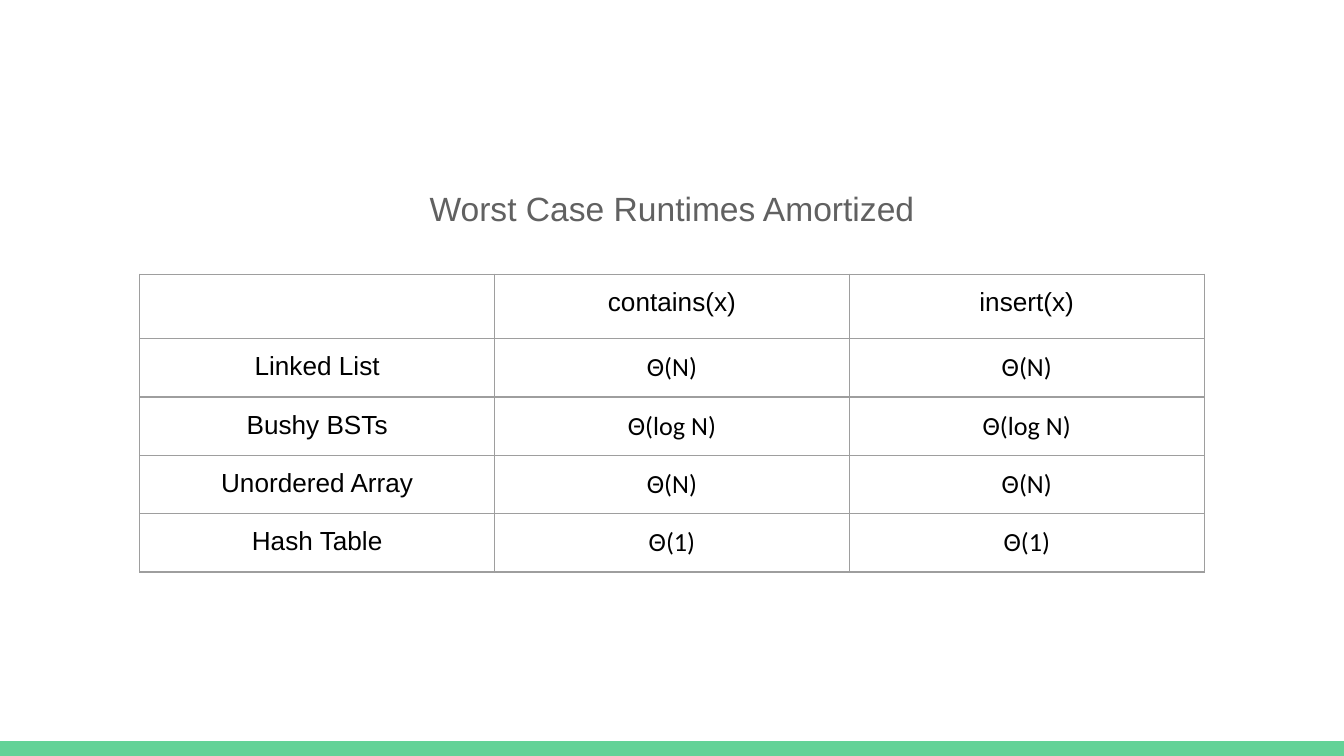
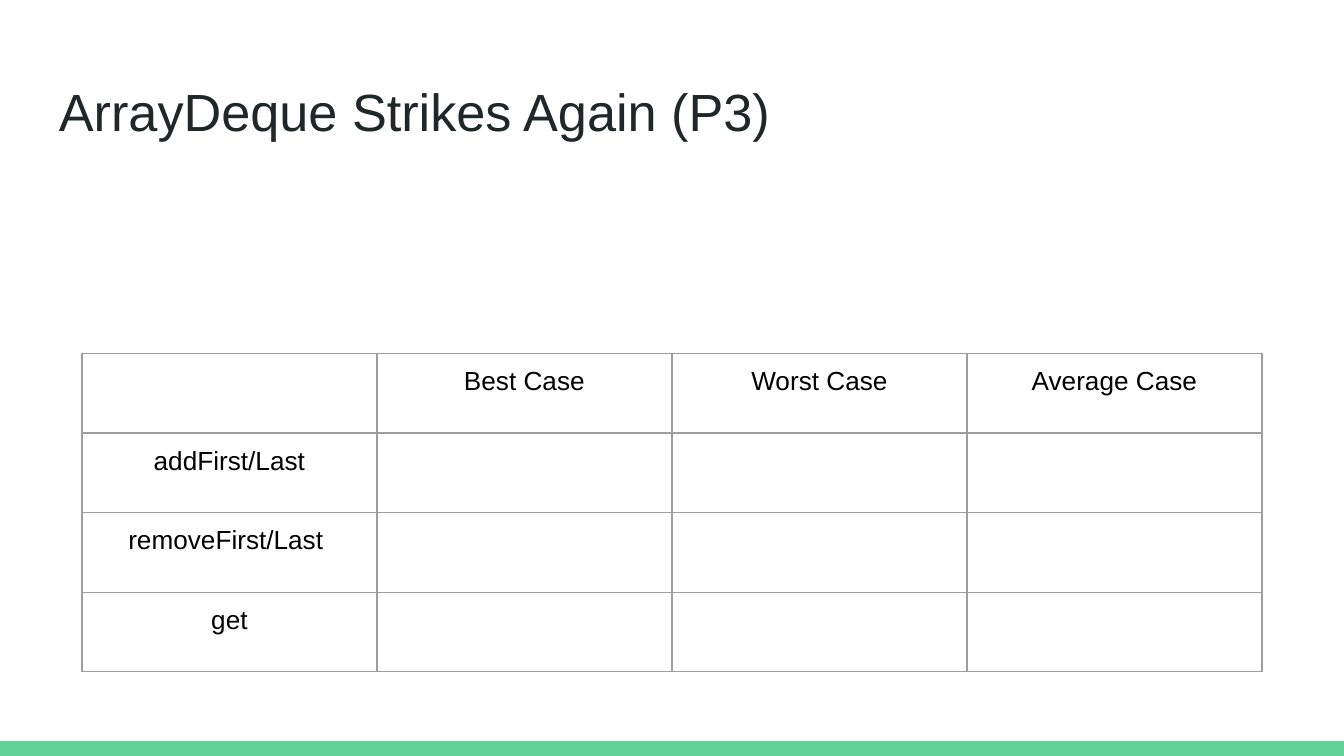
"""Build two slides of runtime tables with a shared title style and footer band."""
from dataclasses import dataclass

from lxml import etree
from pptx import Presentation
from pptx import util as u
from pptx.dml import color
from pptx.enum import shapes, text
from pptx.oxml import ns


@dataclass(frozen=True)
class Theme:
    band: str = "63D297"
    title: str = "202729"
    subtitle: str = "616161"
    cell: str = "000000"
    border: str = "9E9E9E"
    font: str = "Arial"
    math_font: str = "Calibri"
    title_size: int = 28
    subtitle_size: int = 18
    cell_size: int = 14
    border_width: float = 0.75
    inset: float = 0.1


@dataclass(frozen=True)
class Heading:
    text: str
    top: float
    height: float
    size: int
    color: str
    align: text.PP_ALIGN = text.PP_ALIGN.LEFT
    line_spacing: float = 1.0
    space_after: int = 0


@dataclass(frozen=True)
class Grid:
    left: float
    top: float
    width: float
    row_heights: tuple[float, ...]
    rows: tuple[tuple[str, ...], ...]


THEME = Theme()
WIDTH = 10
HEIGHT = WIDTH * 9 / 16
BAND_HEIGHT = 0.11
MARGIN = 0.34

SLIDES = (
    (
        Heading("Worst Case Runtimes Amortized", 1.25, 3.74, THEME.subtitle_size, THEME.subtitle,
                text.PP_ALIGN.CENTER, 1.15, 16),
        Grid(1.04, 2.04, 7.92, (0.48,) + (0.42,) * 4, (
            ("", "contains(x)", "insert(x)"),
            ("Linked List", "Θ(N)", "Θ(N)"),
            ("Bushy BSTs", "Θ(log N)", "Θ(log N)"),
            ("Unordered Array", "Θ(N)", "Θ(N)"),
            ("Hash Table", "Θ(1)", "Θ(1)"),
        )),
    ),
    (
        Heading("ArrayDeque Strikes Again (P3)", 0.49, 0.63, THEME.title_size, THEME.title),
        Grid(0.61, 2.63, 8.78, (2.37 / 4,) * 4, (
            ("", "Best Case", "Worst Case", "Average Case"),
            ("addFirst/Last", "", "", ""),
            ("removeFirst/Last ", "", "", ""),
            ("get", "", "", ""),
        )),
    ),
)


def write(frame, content: str, *, size: int, color_hex: str, font: str = THEME.font,
          align=text.PP_ALIGN.LEFT, line_spacing: float = 1.0, space_after: int = 0) -> None:
    """Write one formatted paragraph, sizing the line even when it is empty."""
    para = frame.paragraphs[0]
    para.alignment = align
    para.line_spacing = line_spacing
    para.space_after = u.Pt(space_after)
    if not content:
        etree.SubElement(para._p, ns.qn("a:endParaRPr"), sz=str(size * 100))
        return
    span = para.add_run()
    span.text = content
    span.font.size = u.Pt(size)
    span.font.name = font
    span.font.color.rgb = color.RGBColor.from_string(color_hex)


def set_insets(target) -> None:
    """Give a text frame or table cell the theme's inset on every side."""
    for side in ("left", "top", "right", "bottom"):
        setattr(target, f"margin_{side}", u.Inches(THEME.inset))


def add_band(page) -> None:
    """Draw the coloured band along the foot of the slide."""
    band = page.shapes.add_shape(
        shapes.MSO_SHAPE.RECTANGLE, 0, u.Inches(HEIGHT - BAND_HEIGHT),
        u.Inches(WIDTH), u.Inches(BAND_HEIGHT))
    band.shadow.inherit = False
    band.fill.solid()
    band.fill.fore_color.rgb = color.RGBColor.from_string(THEME.band)
    band.line.fill.background()


def add_heading(page, heading: Heading) -> None:
    """Add a heading across the slide's text width."""
    box = page.shapes.add_textbox(
        u.Inches(MARGIN), u.Inches(heading.top),
        u.Inches(WIDTH - 2 * MARGIN), u.Inches(heading.height))
    frame = box.text_frame
    frame.word_wrap = True
    set_insets(frame)
    write(frame, heading.text, size=heading.size, color_hex=heading.color, align=heading.align,
          line_spacing=heading.line_spacing, space_after=heading.space_after)


def add_borders(cell) -> None:
    """Outline a cell on all four sides."""
    properties = cell._tc.get_or_add_tcPr()
    for side in ("lnL", "lnR", "lnT", "lnB"):
        line = etree.SubElement(properties, ns.qn(f"a:{side}"),
                                w=str(u.Pt(THEME.border_width)))
        fill = etree.SubElement(line, ns.qn("a:solidFill"))
        etree.SubElement(fill, ns.qn("a:srgbClr"), val=THEME.border)


def add_grid(page, grid: Grid) -> None:
    """Add a plain bordered table with equal columns and centred text."""
    table = page.shapes.add_table(
        len(grid.rows), len(grid.rows[0]), u.Inches(grid.left), u.Inches(grid.top),
        u.Inches(grid.width), u.Inches(sum(grid.row_heights))).table
    table.first_row = table.horz_banding = False
    for row, height, contents in zip(table.rows, grid.row_heights, grid.rows):
        row.height = u.Inches(height)
        for cell, content in zip(row.cells, contents):
            set_insets(cell)
            add_borders(cell)
            cell.fill.background()
            font = THEME.math_font if content.startswith("Θ") else THEME.font
            write(cell.text_frame, content, size=THEME.cell_size, color_hex=THEME.cell,
                  font=font, align=text.PP_ALIGN.CENTER)


def main() -> None:
    """Build and save the deck."""
    deck = Presentation()
    deck.slide_width, deck.slide_height = u.Inches(WIDTH), u.Inches(HEIGHT)
    for heading, grid in SLIDES:
        page = deck.slides.add_slide(deck.slide_layouts[6])
        add_band(page)
        add_heading(page, heading)
        add_grid(page, grid)
    deck.save("out.pptx")


if __name__ == "__main__":
    main()
